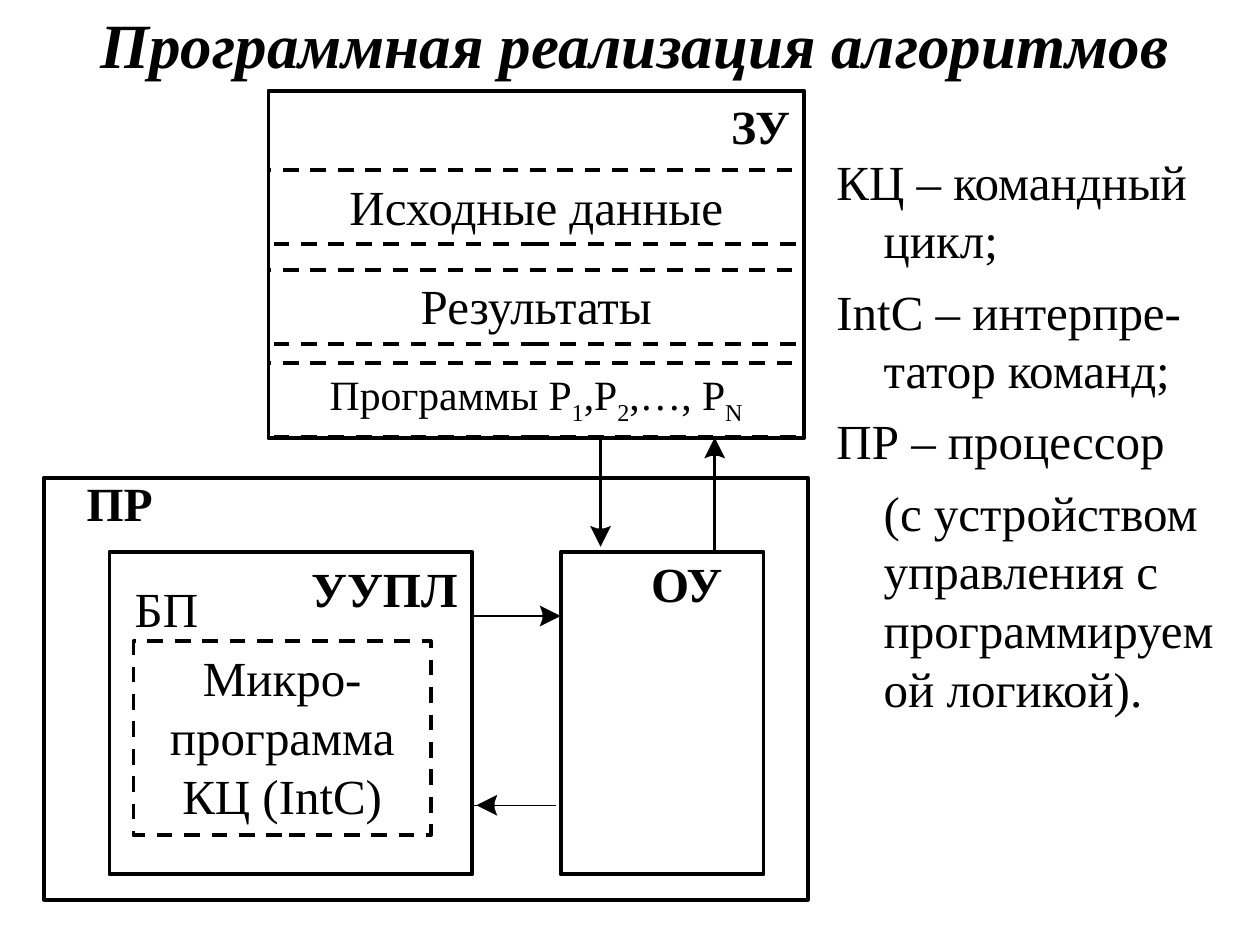
import pptx
import pptx.util
import pptx.dml.color
import pptx.enum.dml
import pptx.enum.shapes
import pptx.enum.text
import lxml.etree

Pt = pptx.util.Pt
ALIGN = pptx.enum.text.PP_ALIGN
ANCHOR = pptx.enum.text.MSO_ANCHOR
RECTANGLE = pptx.enum.shapes.MSO_SHAPE.RECTANGLE
STRAIGHT = pptx.enum.shapes.MSO_CONNECTOR.STRAIGHT

# Content: boxes are (left, top, width, height) in points
FONT = "Times New Roman"
COLORS = {"ink": "000000"}
BORDER = 2.24
BAND_HEIGHT = 42.5
HEAD = 12

TITLE = "Программная реализация алгоритмов"
LEGEND = [
    ("КЦ – командный цикл;", True),
    ("IntC – интерпре-татор команд;", True),
    ("ПР – процессор", True),
    ("(с устройством управления с программируемой логикой).", False),
]
MEMORY = (153.4, 51.8, 306, 198.7)
BLOCKS = [MEMORY, (62.6, 315.4, 207.4, 184.3),
          (320.4, 315.4, 115.9, 184.3), (25.2, 272.9, 436.3, 241.2)]
BANDS = [("Исходные данные", 97.2), ("Результаты", 154.1)]
PROGRAMS_TOP = 207.4
PROGRAMS = [("Программы Р", False), ("1", True), (",Р", False),
            ("2", True), (",…, Р", False), ("N", True)]
MICROPROGRAM = ["Микро-", "программа КЦ (IntC)"]
MICROPROGRAM_BOX = (76.3, 366.5, 169.9, 110.9)
LABELS = [
    ("ЗУ", (300.2, 51.8, 158.4, BAND_HEIGHT), 27.2, True, ALIGN.RIGHT),
    ("УУПЛ", (169.9, 315.4, 99.4, BAND_HEIGHT), 28, True, ALIGN.CENTER),
    ("БП", (45.4, 326.9, 99.4, BAND_HEIGHT), 28, False, ALIGN.CENTER),
    ("ОУ", (348.5, 312.5, 87.8, BAND_HEIGHT), 28, True, ALIGN.CENTER),
    ("ПР", (42.5, 267.1, 93.6, BAND_HEIGHT), 27.2, True, ALIGN.LEFT),
]
# Arrows: line start, line end, tip of the head, direction, line width
ARROWS = [
    ((343.2, 250), (343.2, 304), (343.2, 312.5), (0, 1), 1.39),
    ((408.4, 315.4), (408.4, 258.5), (408.4, 250), (0, -1), 1.39),
    ((269.5, 352), (317.5, 352), (320.4, 352), (1, 0), 0.74),
    ((317.5, 460.2), (269.5, 460.2), (272.2, 460.2), (-1, 0), 0.74),
]

presentation = pptx.Presentation()
presentation.slide_width, presentation.slide_height = Pt(720), Pt(540)
slide = presentation.slides.add_slide(presentation.slide_layouts[5])
INK = pptx.dml.color.RGBColor.from_string(COLORS["ink"])


def write(shape, lines, size, bold=False, align=ALIGN.CENTER, anchor=ANCHOR.TOP):
    frame = shape.text_frame
    frame.word_wrap = True
    frame.auto_size = pptx.enum.text.MSO_AUTO_SIZE.NONE
    frame.vertical_anchor = anchor
    frame.text = "\n".join(lines)
    for paragraph in frame.paragraphs:
        paragraph.alignment = align
        for run in paragraph.runs:
            style(run, size, bold)
    return frame


def style(run, size, bold=False):
    run.font.name, run.font.size, run.font.bold = FONT, Pt(size), bold
    run.font.color.rgb = INK


def add_text(box, lines, size, **options):
    shape = slide.shapes.add_textbox(*map(Pt, box))
    return write(shape, lines, size, **options)


def add_box(box, dashed=False):
    shape = slide.shapes.add_shape(RECTANGLE, *map(Pt, box))
    shape.shadow.inherit = False
    shape.fill.background()
    shape.line.color.rgb = INK
    shape.line.width = Pt(BORDER)
    if dashed:
        shape.line.dash_style = pptx.enum.dml.MSO_LINE.DASH
    return shape


def add_arrow(start, end, tip, direction, width):
    line = slide.shapes.add_connector(STRAIGHT, *map(Pt, start + end))
    line.line.color.rgb = INK
    line.line.width = Pt(width)
    lxml.etree.SubElement(line._element.spPr, pptx.oxml.ns.qn("a:effectLst"))
    # Head with a slightly hollow base
    (x, y), (dx, dy) = tip, direction
    outline = [(x - dx * back - dy * side, y - dy * back + dx * side)
               for back, side in ((HEAD, HEAD / 2), (HEAD - 1.5, 2),
                                  (HEAD - 1.5, -2), (HEAD, -HEAD / 2))]
    builder = slide.shapes.build_freeform(Pt(x), Pt(y))
    builder.add_line_segments([(Pt(a), Pt(b)) for a, b in outline], close=True)
    head = builder.convert_to_shape()
    head.shadow.inherit = False
    head.fill.solid()
    head.fill.fore_color.rgb = INK
    head.line.fill.background()


# Title
title = slide.shapes.title
title.left, title.top, title.width, title.height = map(Pt, (14.4, 2.9, 696.2, 43.2))
title_frame = write(title, [TITLE], 36, bold=True, anchor=ANCHOR.MIDDLE)
title_frame.paragraphs[0].runs[0].font.italic = True

# Legend
legend = add_text((470.9, 82.8, 241.2, 428.4), [text for text, _ in LEGEND],
                  28, align=ALIGN.LEFT)
for paragraph, (_, hanging) in zip(legend.paragraphs, LEGEND):
    paragraph.space_before = Pt(7)
    properties = paragraph._p.get_or_add_pPr()
    properties.set("marL", str(Pt(27)))
    properties.set("indent", str(Pt(-27 if hanging else 0)))

# Blocks and their dashed areas
for block in BLOCKS:
    add_box(block)
for text, top in BANDS:
    write(add_box((MEMORY[0], top, MEMORY[2], BAND_HEIGHT), dashed=True), [text], 28)
write(add_box(MICROPROGRAM_BOX, dashed=True), MICROPROGRAM, 28)

# Programs with subscripts
programs = add_box((MEMORY[0], PROGRAMS_TOP, MEMORY[2], BAND_HEIGHT), dashed=True)
paragraph = write(programs, [""], 23.8).paragraphs[0]
for text, subscript in PROGRAMS:
    run = paragraph.add_run()
    run.text = text
    style(run, 23.8)
    if subscript:
        run.font._element.set("baseline", "-25000")

# Labels
for text, box, size, bold, align in LABELS:
    add_text(box, [text], size, bold=bold, align=align)

# Arrows
for arrow in ARROWS:
    add_arrow(*arrow)

presentation.save("out.pptx")
